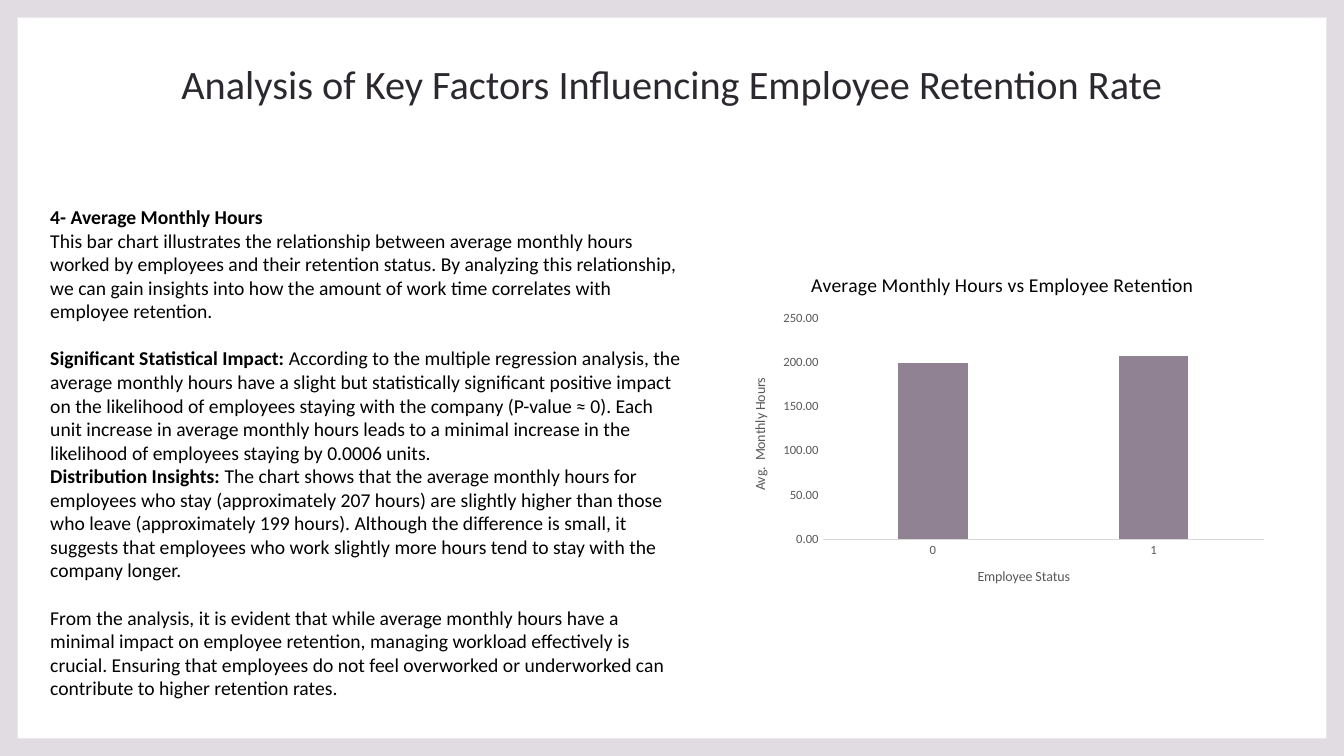
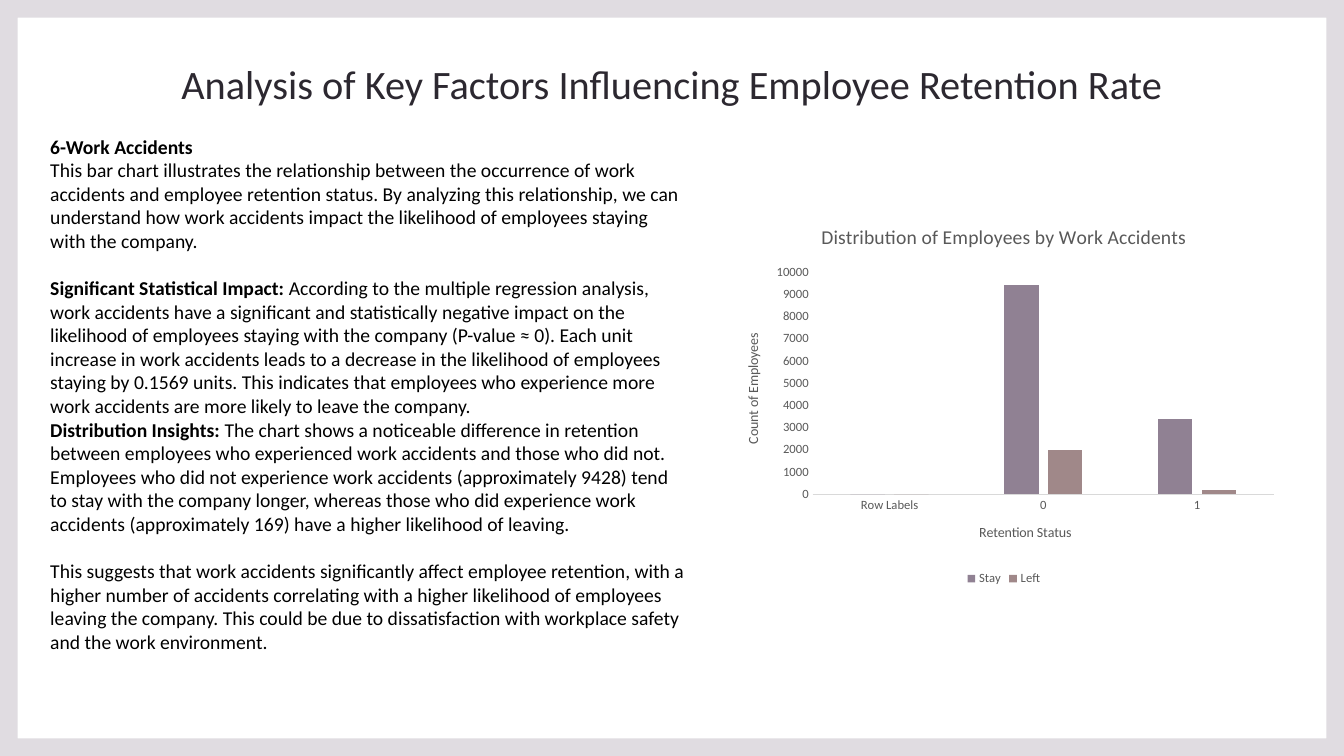
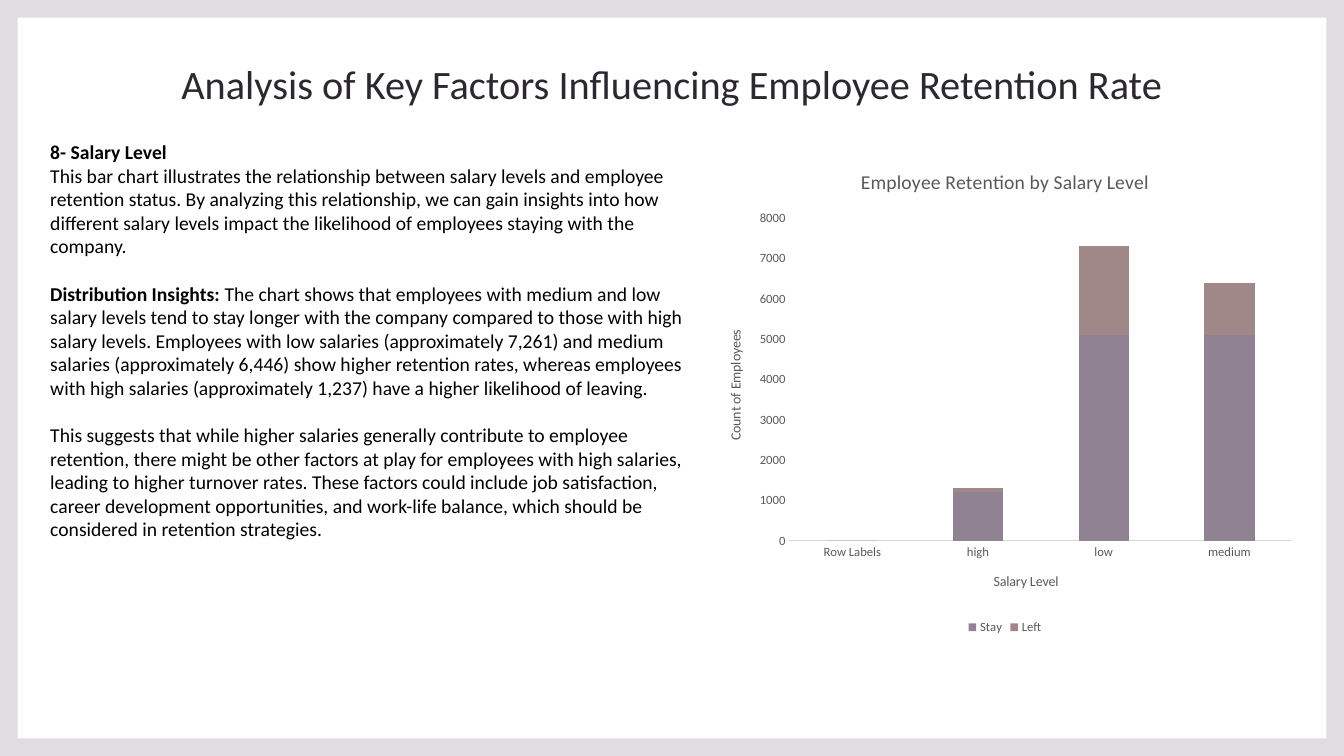
from dataclasses import dataclass

from pptx import Presentation
from pptx.chart.data import CategoryChartData
from pptx.dml.color import RGBColor
from pptx.enum.chart import XL_CHART_TYPE, XL_LEGEND_POSITION, XL_TICK_MARK
from pptx.enum.shapes import MSO_SHAPE
from pptx.enum.text import MSO_ANCHOR, MSO_AUTO_SIZE, PP_ALIGN
from pptx.oxml import parse_xml
from pptx.oxml.ns import nsdecls
from pptx.util import Pt

CLUSTERED = XL_CHART_TYPE.COLUMN_CLUSTERED
STACKED = XL_CHART_TYPE.COLUMN_STACKED
LEGEND_BOTTOM = XL_LEGEND_POSITION.BOTTOM
NO_TICKS = XL_TICK_MARK.NONE
FRAME = MSO_SHAPE.FRAME
CENTER = PP_ALIGN.CENTER
MIDDLE = MSO_ANCHOR.MIDDLE
FIT_SHAPE = MSO_AUTO_SIZE.SHAPE_TO_FIT_TEXT
TITLE_ONLY = 5

DECK_TITLE = "Analysis of Key Factors Influencing Employee Retention Rate"
IMPACT = "Significant Statistical Impact:"
INSIGHTS = "Distribution Insights:"


@dataclass(frozen=True)
class Theme:
    font: str = "Calibri"
    frame: RGBColor = RGBColor(0xE0, 0xDC, 0xE1)
    title: RGBColor = RGBColor(0x2C, 0x28, 0x30)
    text: RGBColor = RGBColor(0, 0, 0)
    muted: RGBColor = RGBColor(0x59, 0x59, 0x59)
    axis: RGBColor = RGBColor(0xD9, 0xD9, 0xD9)
    series: tuple = (RGBColor(0x90, 0x81, 0x93), RGBColor(0xA0, 0x88, 0x89))
    title_size: float = 28.8
    body_size: float = 14
    axis_title_size: float = 10
    label_size: float = 9
    section_gap: float = 17


class Deck:
    width, height, frame_width = 960, 540, 12.6

    def __init__(self, theme):
        self.theme = theme
        self.presentation = Presentation()
        self.presentation.slide_width = Pt(self.width)
        self.presentation.slide_height = Pt(self.height)
        self.layout = self.presentation.slide_layouts[TITLE_ONLY]
        self.slide = None

    def style(self, font, size, color, bold=False):
        font.name = self.theme.font
        font.size = Pt(size)
        font.color.rgb = color
        font.bold = bold

    def new_slide(self, title):
        self.slide = self.presentation.slides.add_slide(self.layout)
        self.add_frame()
        self.set_title(title)

    def add_frame(self):
        frame = self.slide.shapes.add_shape(FRAME, 0, 0, Pt(self.width), Pt(self.height))
        frame.adjustments[0] = self.frame_width / self.height
        frame.fill.solid()
        frame.fill.fore_color.rgb = self.theme.frame
        frame.line.fill.background()
        frame.shadow.inherit = False

    def set_title(self, title):
        shape = self.slide.shapes.title
        shape.left, shape.top, shape.width, shape.height = Pt(97.5), Pt(41.7), Pt(765), Pt(36)
        text_frame = shape.text_frame
        text_frame.text = title
        text_frame.vertical_anchor = MIDDLE
        paragraph = text_frame.paragraphs[0]
        paragraph.alignment = CENTER
        self.style(paragraph.runs[0].font, self.theme.title_size, self.theme.title)

    def add_analysis(self, top, height, paragraphs):
        """Each paragraph is (bold lead, text, whether it opens a section)."""
        box = self.slide.shapes.add_textbox(Pt(28.8), Pt(top), Pt(468.7), Pt(height))
        text_frame = box.text_frame
        text_frame.word_wrap = True
        text_frame.auto_size = FIT_SHAPE
        for index, (lead, text, opens_section) in enumerate(paragraphs):
            paragraph = text_frame.add_paragraph() if index else text_frame.paragraphs[0]
            if opens_section:
                paragraph.space_before = Pt(self.theme.section_gap)
            for part, bold in ((lead, True), (text, False)):
                if part:
                    run = paragraph.add_run()
                    run.text = part
                    self.style(run.font, self.theme.body_size, self.theme.text, bold)

    def add_heading(self, title, text, size, color):
        """Fill the title of a chart or an axis."""
        title.text_frame.text = text
        self.style(title.text_frame.paragraphs[0].runs[0].font, size, color)

    def style_axis(self, axis, title):
        axis.has_major_gridlines = False
        axis.major_tick_mark = axis.minor_tick_mark = NO_TICKS
        self.style(axis.tick_labels.font, self.theme.label_size, self.theme.muted)
        self.add_heading(axis.axis_title, title, self.theme.axis_title_size, self.theme.muted)

    def set_plot_area(self, chart, area):
        values = "".join(f'<c:{tag} val="{value}"/>' for tag, value in zip("xywh", area))
        layout = parse_xml(
            f'<c:layout {nsdecls("c")}><c:manualLayout><c:layoutTarget val="inner"/>'
            f'<c:xMode val="edge"/><c:yMode val="edge"/>{values}</c:manualLayout></c:layout>')
        plot_area = chart.plots[0]._element.getparent()
        for old in plot_area.findall(layout.tag):
            plot_area.remove(old)
        plot_area.insert(0, layout)

    def add_column_chart(self, kind, box, plot_area, title, axis_titles, categories,
                         series, scale, gap, overlap, title_color=None,
                         number_format="General"):
        data = CategoryChartData(number_format=number_format)
        data.categories = categories
        for name, values in series.items():
            data.add_series(name, values)
        chart = self.slide.shapes.add_chart(kind, *map(Pt, box), data).chart
        self.style(chart.font, self.theme.axis_title_size, self.theme.text)
        self.add_heading(chart.chart_title, title, self.theme.body_size,
                         title_color or self.theme.muted)
        self.set_plot_area(chart, plot_area)

        # Columns
        plot = chart.plots[0]
        plot.vary_by_categories = False
        plot.gap_width, plot.overlap = gap, overlap
        for columns, color in zip(plot.series, self.theme.series):
            columns.format.fill.solid()
            columns.format.fill.fore_color.rgb = color

        # Axes
        for axis, axis_title in zip((chart.category_axis, chart.value_axis), axis_titles):
            self.style_axis(axis, axis_title)
        line = chart.category_axis.format.line
        line.color.rgb = self.theme.axis
        line.width = Pt(0.75)
        value_axis = chart.value_axis
        value_axis.format.line.fill.background()
        value_axis.minimum_scale = 0
        value_axis.maximum_scale, value_axis.major_unit = scale
        value_axis.tick_labels.number_format = number_format
        value_axis.tick_labels.number_format_is_linked = False

        # Legend
        chart.has_legend = len(series) > 1
        if chart.has_legend:
            chart.legend.position = LEGEND_BOTTOM
            chart.legend.include_in_layout = False
            self.style(chart.legend.font, self.theme.label_size, self.theme.muted)


def main():
    theme = Theme()
    deck = Deck(theme)

    # Average monthly hours
    deck.new_slide(DECK_TITLE)
    deck.add_analysis(142.8, 329.8, [
        ("4- Average Monthly Hours", "", False),
        ("", "This bar chart illustrates the relationship between average monthly hours "
         "worked by employees and their retention status. By analyzing this relationship, "
         "we can gain insights into how the amount of work time correlates with employee "
         "retention.", False),
        (IMPACT, " According to the multiple regression analysis, the average monthly hours "
         "have a slight but statistically significant positive impact on the likelihood of "
         "employees staying with the company (P-value ≈ 0). Each unit increase in average "
         "monthly hours leads to a minimal increase in the likelihood of employees staying "
         "by 0.0006 units.", True),
        (INSIGHTS, " The chart shows that the average monthly hours for employees who stay "
         "(approximately 207 hours) are slightly higher than those who leave (approximately "
         "199 hours). Although the difference is small, it suggests that employees who work "
         "slightly more hours tend to stay with the company longer.", False),
        ("", "From the analysis, it is evident that while average monthly hours have a "
         "minimal impact on employee retention, managing workload effectively is crucial. "
         "Ensuring that employees do not feel overworked or underworked can contribute to "
         "higher retention rates.", True),
    ])
    deck.add_column_chart(
        CLUSTERED, (521.3, 182.2, 389.5, 250.6), (0.17, 0.18, 0.81, 0.63),
        "Average Monthly Hours vs Employee Retention",
        ("Employee Status", "Avg.  Monthly Hours"), ["0", "1"],
        {"Series 1": (199, 207)}, scale=(250, 50), gap=219, overlap=-27,
        title_color=theme.text, number_format="0.00")

    # Work accidents
    deck.new_slide(DECK_TITLE)
    deck.add_analysis(92.7, 397.4, [
        ("6-Work Accidents", "", False),
        ("", "This bar chart illustrates the relationship between the occurrence of work "
         "accidents and employee retention status. By analyzing this relationship, we can "
         "understand how work accidents impact the likelihood of employees staying with the "
         "company.", False),
        (IMPACT, " According to the multiple regression analysis, work accidents have a "
         "significant and statistically negative impact on the likelihood of employees "
         "staying with the company (P-value ≈ 0). Each unit increase in work accidents leads "
         "to a decrease in the likelihood of employees staying by 0.1569 units. This "
         "indicates that employees who experience more work accidents are more likely to "
         "leave the company.", True),
        (INSIGHTS, " The chart shows a noticeable difference in retention between employees "
         "who experienced work accidents and those who did not. Employees who did not "
         "experience work accidents (approximately 9428) tend to stay with the company "
         "longer, whereas those who did experience work accidents (approximately 169) have a "
         "higher likelihood of leaving.", False),
        ("", "This suggests that work accidents significantly affect employee retention, "
         "with a higher number of accidents correlating with a higher likelihood of "
         "employees leaving the company. This could be due to dissatisfaction with workplace "
         "safety and the work environment.", True),
    ])
    deck.add_column_chart(
        CLUSTERED, (516.2, 147.8, 401.8, 273.6), (0.16, 0.17, 0.82, 0.58),
        "Distribution of Employees by Work Accidents",
        ("Retention Status", "Count of Employees"), ["Row Labels", "0", "1"],
        {"Stay": (0, 9400, 3400), "Left": (0, 2000, 200)},
        scale=(10000, 1000), gap=219, overlap=-27)

    # Salary level
    deck.new_slide(DECK_TITLE)
    deck.add_analysis(96.5, 295.9, [
        ("8- Salary Level", "", False),
        ("", "This bar chart illustrates the relationship between salary levels and employee "
         "retention status. By analyzing this relationship, we can gain insights into how "
         "different salary levels impact the likelihood of employees staying with the "
         "company.", False),
        (INSIGHTS, " The chart shows that employees with medium and low salary levels tend "
         "to stay longer with the company compared to those with high salary levels. "
         "Employees with low salaries (approximately 7,261) and medium salaries "
         "(approximately 6,446) show higher retention rates, whereas employees with high "
         "salaries (approximately 1,237) have a higher likelihood of leaving.", True),
        ("", "This suggests that while higher salaries generally contribute to employee "
         "retention, there might be other factors at play for employees with high salaries, "
         "leading to higher turnover rates. These factors could include job satisfaction, "
         "career development opportunities, and work-life balance, which should be "
         "considered in retention strategies.", True),
    ])
    deck.add_column_chart(
        STACKED, (504, 107, 427.7, 349.2), (0.14, 0.14, 0.84, 0.66),
        "Employee Retention by Salary Level",
        ("Salary Level", "Count of Employees"), ["Row Labels", "high", "low", "medium"],
        {"Stay": (0, 1200, 5100, 5100), "Left": (0, 100, 2200, 1300)},
        scale=(8000, 1000), gap=150, overlap=100)

    deck.presentation.save("out.pptx")


if __name__ == "__main__":
    main()
